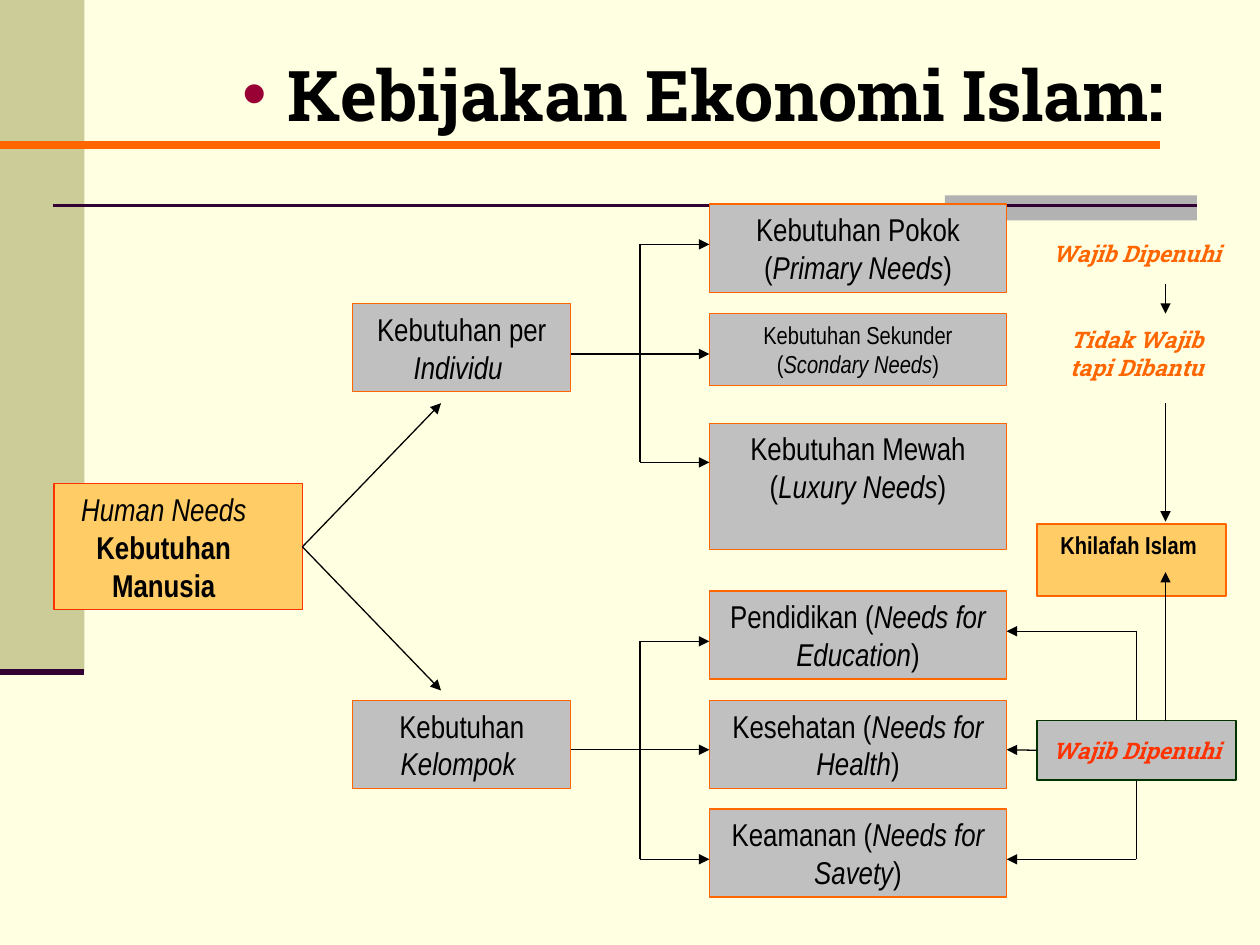
from lxml.etree import SubElement
from pptx import Presentation
from pptx.dml.color import RGBColor
from pptx.enum.shapes import MSO_CONNECTOR as Line, MSO_SHAPE as Shape
from pptx.enum.text import MSO_ANCHOR as Anchor, MSO_AUTO_SIZE as AutoSize, PP_ALIGN as Align
from pptx.oxml.ns import qn
from pptx.util import Inches, Pt

COLOURS = {
    "cream": "FFFFE1", "olive": "CCCC99", "ash": "B2B2B2", "plum": "330033",
    "orange": "FF6600", "red": "FF3300", "grey": "C0C0C0", "gold": "FFCC66",
    "green": "003300", "maroon": "990033", "black": "000000",
}
BODY, DISPLAY = "Arial Narrow", "Roboto Slab"


def colour(name):
    return RGBColor.from_string(COLOURS[name])


class NeedsSlide:
    def __init__(self, deck):
        self.slide = deck.slides.add_slide(deck.slide_layouts[5])
        self.slide.background.fill.solid()
        self.slide.background.fill.fore_color.rgb = colour("cream")

    def style(self, paragraph, size, face, ink="black", bold=False, italic=None):
        paragraph.alignment = Align.CENTER
        font = paragraph.font
        font.name, font.size, font.bold, font.italic = face, Pt(size), bold, italic
        font.color.rgb = colour(ink)

    def title(self, text):
        title = self.slide.shapes.title
        title.left, title.top = Inches(0.91), Inches(0.36)
        title.width, title.height = Inches(8.43), Inches(0.77)
        frame = title.text_frame
        frame.text, frame.vertical_anchor = text, Anchor.TOP
        frame.auto_size = AutoSize.NONE
        heading = frame.paragraphs[0]
        props = heading._p.get_or_add_pPr()
        props.set("marL", str(Inches(0.36)))
        props.set("indent", str(-Inches(0.36)))
        bullet_ink = SubElement(props, qn("a:buClr"))
        SubElement(bullet_ink, qn("a:srgbClr"), val=COLOURS["maroon"])
        SubElement(props, qn("a:buFont"), typeface="Arial")
        SubElement(props, qn("a:buChar"), char="•")
        self.style(heading, 40, DISPLAY, bold=True)
        heading.alignment = Align.RIGHT

    def box(self, left, top, width, height, fill="grey", edge="orange"):
        box = self.slide.shapes.add_shape(
            Shape.RECTANGLE, Inches(left), Inches(top), Inches(width), Inches(height))
        box.shadow.inherit = False
        box.fill.solid()
        box.fill.fore_color.rgb = colour(fill)
        if edge:
            box.line.color.rgb = colour(edge)
            box.line.width = Pt(0.75)
        else:
            box.line.fill.background()
        box.text_frame.word_wrap = True
        box.text_frame.vertical_anchor = Anchor.TOP
        return box

    def need(self, left, top, width, height, plain, italic, close="", size=18):
        box = self.box(left, top, width, height)
        paragraph = box.text_frame.paragraphs[0]
        self.style(paragraph, size, BODY)
        for text, slanted in ((plain, False), (italic, True), (close, False)):
            if text:
                run = paragraph.add_run()
                run.text, run.font.italic = text, slanted

    def verdict(self, shape, text, ink):
        frame = shape.text_frame
        frame.text, frame.word_wrap = text, True
        frame.vertical_anchor = Anchor.MIDDLE
        self.style(frame.paragraphs[0], 13, DISPLAY, ink, bold=True, italic=True)

    def note(self, top, text):
        note = self.slide.shapes.add_textbox(
            Inches(8.23), Inches(top), Inches(1.58), Inches(0.47))
        self.verdict(note, text, "orange")

    def line(self, x1, y1, x2, y2, ink="black", weight=0.75, arrow=False):
        line = self.slide.shapes.add_connector(
            Line.STRAIGHT, Inches(x1), Inches(y1), Inches(x2), Inches(y2))
        line.line.color.rgb = colour(ink)
        line.line.width = Pt(weight)
        if arrow:
            SubElement(line.line._get_or_add_ln(), qn("a:tailEnd"), type="triangle")
        SubElement(line._element.spPr, qn("a:effectLst"))
        return line

    def arrow(self, x1, y1, x2, y2):
        return self.line(x1, y1, x2, y2, arrow=True)

    def branch(self, upper, middle, lower):
        self.line(5.08, upper, 5.08, lower)
        for start, y in ((5.08, upper), (4.53, middle), (5.08, lower)):
            self.arrow(start, y, 5.63, y)


def main():
    deck = Presentation()
    deck.slide_width, deck.slide_height = Inches(10), Inches(7.5)
    page = NeedsSlide(deck)

    page.box(0, 0, 0.67, 5.33, "olive", None)
    page.box(7.5, 1.55, 2, 0.2, "ash", None)
    page.line(0.42, 1.63, 9.5, 1.63, "plum", 1.5)
    page.line(0, 5.33, 0.67, 5.33, "plum", 3.5)
    page.line(0, 1.15, 9.21, 1.15, "orange", 4.5)
    page.title("Kebijakan Ekonomi Islam:")

    page.need(2.8, 2.41, 1.73, 0.7, "Kebutuhan per ", "Individu ")
    page.need(2.8, 5.56, 1.73, 0.7, "Kebutuhan ", "Kelompok ")
    for top, height, size, name, english in (
        (1.62, 0.7, 18, "Kebutuhan Pokok", "Primary Needs"),
        (2.49, 0.57, 14, "Kebutuhan Sekunder", "Scondary Needs"),
        (3.36, 1, 18, "Kebutuhan Mewah", "Luxury Needs"),
        (4.69, 0.7, 18, "Pendidikan", "Needs for Education"),
        (5.56, 0.7, 18, "Kesehatan", "Needs for Health"),
        (6.42, 0.7, 18, "Keamanan", "Needs for Savety"),
    ):
        page.need(5.63, top, 2.36, height, f"{name} (", english, ")", size)
    page.branch(1.94, 2.81, 3.67)
    page.branch(5.09, 5.95, 6.82)

    human_needs = page.box(0.43, 3.84, 1.97, 1, "gold", "red")
    frame = human_needs.text_frame
    frame.text = "Human Needs\nKebutuhan Manusia"
    english, local = frame.paragraphs
    page.style(english, 18, BODY, italic=True)
    english._p.get_or_add_pPr().set("marR", str(Inches(0.23)))
    page.style(local, 18, BODY, bold=True)
    for target in (5.48, 3.2):
        page.arrow(2.4, 4.34, 3.5, target).begin_connect(human_needs, 3)

    page.note(1.78, "Wajib Dipenuhi")
    page.note(2.57, "Tidak Wajib tapi Dibantu")
    page.line(9.02, 5.01, 9.02, 6.82)
    for y in (5.01, 6.82):
        page.arrow(9.02, y, 7.99, y)
    obligation = page.box(8.23, 5.72, 1.58, 0.47, "grey", "green")
    page.verdict(obligation, "Wajib Dipenuhi", "red")
    page.arrow(8.23, 5.95, 7.99, 5.95).begin_connect(obligation, 1)

    khilafah = page.box(8.23, 4.16, 1.5, 0.57, "gold")
    khilafah.text_frame.text = "Khilafah Islam "
    page.style(khilafah.text_frame.paragraphs[0], 14, BODY, bold=True)
    for start, end in ((3.2, 4.14), (5.72, 4.54), (2.25, 2.49)):
        page.arrow(9.25, start, 9.25, end)

    deck.save("out.pptx")


if __name__ == "__main__":
    main()
